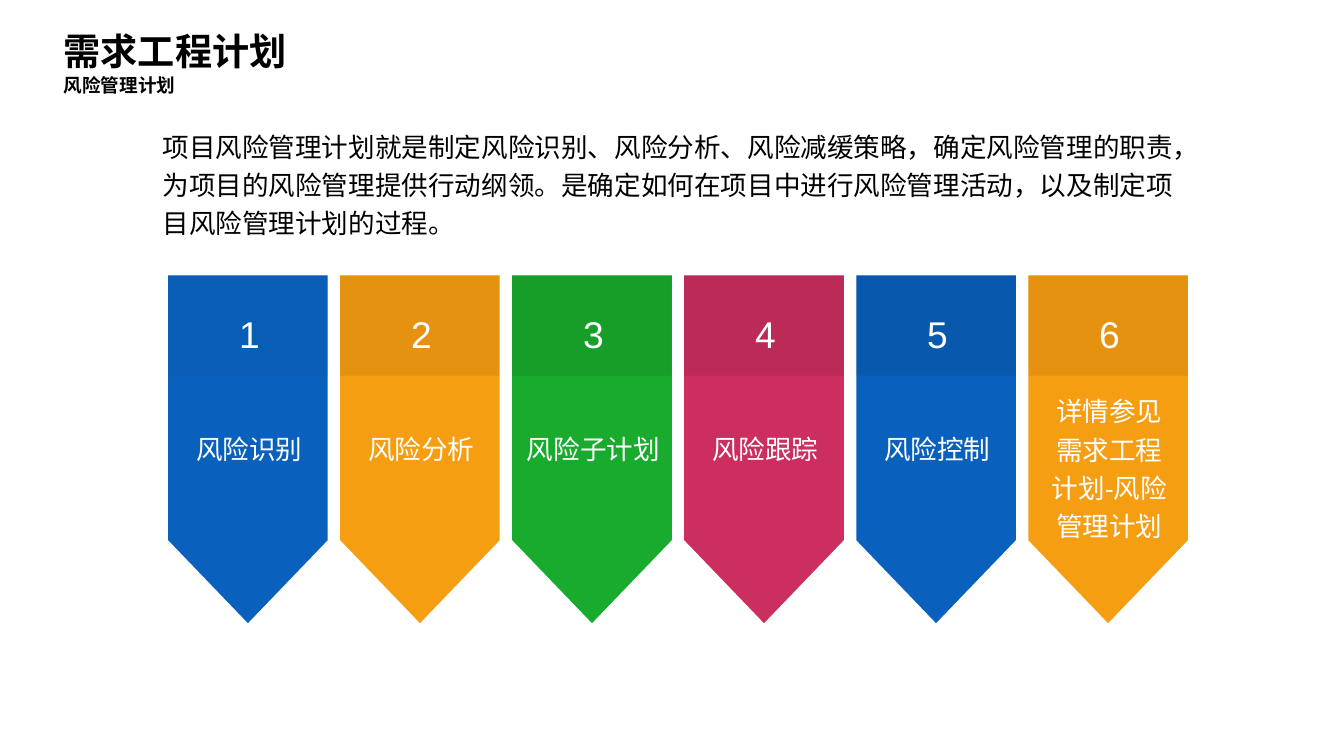
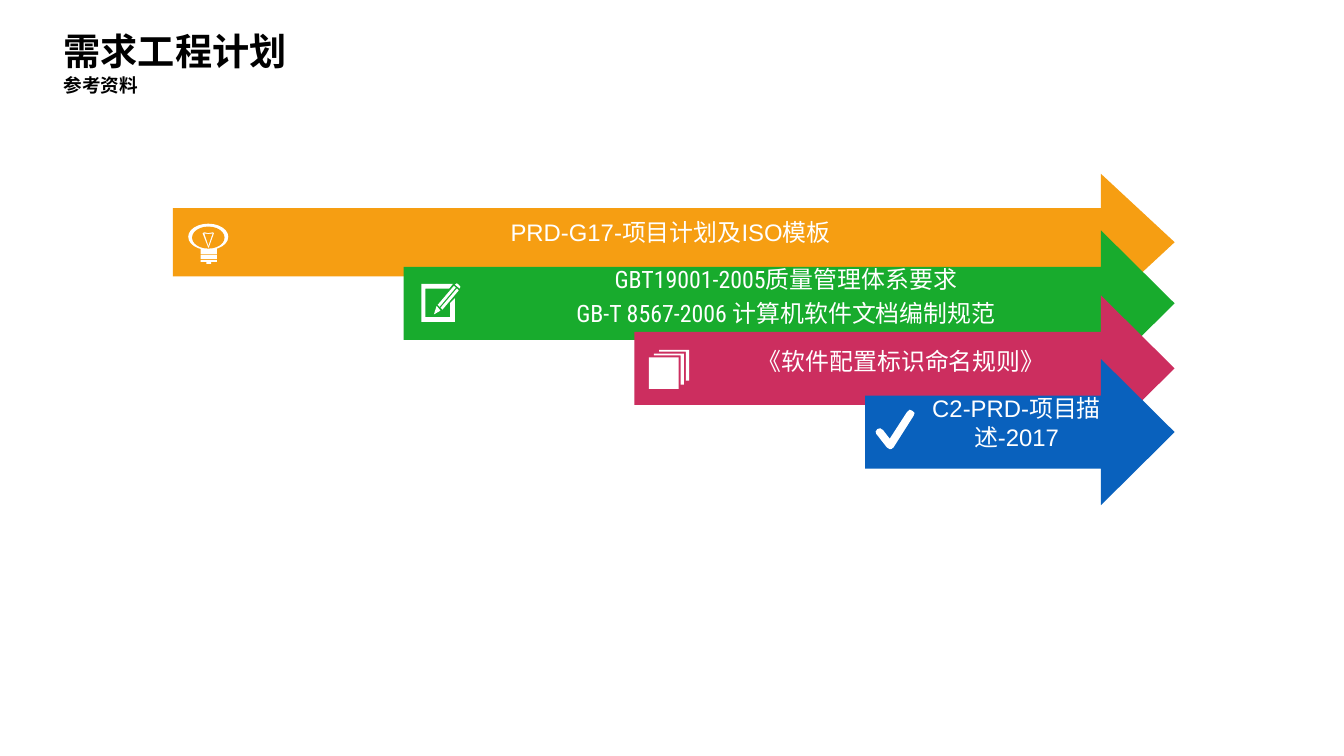
"""Build two slides of a requirements engineering plan: risk management and references."""
from dataclasses import dataclass
from typing import Any

import lxml.etree
import pptx
import pptx.dml.color
import pptx.enum.shapes
import pptx.enum.text
import pptx.oxml.ns
import pptx.presentation
import pptx.shapes.base
import pptx.slide
import pptx.text.text
import pptx.util

Pt = pptx.util.Pt
RGBColor = pptx.dml.color.RGBColor
ShapeType = pptx.enum.shapes.MSO_SHAPE
Align = pptx.enum.text.PP_ALIGN
Anchor = pptx.enum.text.MSO_ANCHOR
Points = list[tuple[float, float]]

BLACK = RGBColor(0x00, 0x00, 0x00)
WHITE = RGBColor(0xFF, 0xFF, 0xFF)
BLUE = RGBColor(0x09, 0x61, 0xBD)
ORANGE = RGBColor(0xF6, 0x9E, 0x12)
GREEN = RGBColor(0x18, 0xAB, 0x2D)
CRIMSON = RGBColor(0xCC, 0x2E, 0x5F)
DARK_BLUE = RGBColor(0x07, 0x49, 0x8E)
DEEP_BLUE = RGBColor(0x04, 0x31, 0x5E)
DARK_ORANGE = RGBColor(0x7F, 0x50, 0x05)
DARK_GREEN = RGBColor(0x0C, 0x56, 0x17)
DARK_CRIMSON = RGBColor(0x66, 0x17, 0x2F)

SLIDE_WIDTH, SLIDE_HEIGHT = 1012.5, 569.5
TITLE = "需求工程计划"
HEAD_FONT = {"size": Pt(28), "name": "Arial", "bold": True}
SUBHEAD_FONT = {"size": Pt(14), "name": "Arial", "bold": True}
BODY_FONT = {"size": Pt(20), "name": "Arial"}
NUMBER_FONT = {"size": Pt(28), "name": "Arial"}
ARROW_FONT = {"size": Pt(18), "name": "Arial"}
NARROW_FONT = {"size": Pt(18), "name": "Roboto Condensed"}
LOOSE = {"line_spacing": 1.2}
CENTERED = {"alignment": Align.CENTER}
LOOSE_CENTERED = LOOSE | CENTERED
FRAME = {"word_wrap": True, "margin_left": 0, "margin_top": 0, "margin_right": 0, "margin_bottom": 0}
MIDDLE_FRAME = FRAME | {"vertical_anchor": Anchor.MIDDLE}
ARROW_FRAME = MIDDLE_FRAME | {
    "margin_left": Pt(42.5), "margin_top": Pt(29.5), "margin_right": Pt(47.5), "margin_bottom": Pt(44.6),
}

COLUMN_LEFT, COLUMN_TOP, COLUMN_PITCH = 126.7, 207.4, 129.6
COLUMN_WIDTH, COLUMN_HEIGHT, BAND_HEIGHT = 120.2, 262, 75.6
ARROW_LEFT, ARROW_PITCH, ARROW_NECK, ARROW_TIP = 130.3, 173.8, 829.4, 884.9


@dataclass(frozen=True)
class Box:
    """Position and size in points."""

    left: float
    top: float
    width: float
    height: float

    def lengths(self) -> tuple[pptx.util.Length, ...]:
        """Return the four lengths for a shape call."""
        return Pt(self.left), Pt(self.top), Pt(self.width), Pt(self.height)


@dataclass(frozen=True)
class RiskStep:
    """One numbered column of the risk plan."""

    label: str
    color: RGBColor
    band_color: RGBColor
    label_width: float = 90.7
    label_top: float = 321.1
    label_height: float = 28.8


@dataclass(frozen=True)
class Preset:
    """A preset shape inside an icon."""

    kind: ShapeType
    box: Box
    color: RGBColor = WHITE


@dataclass(frozen=True)
class Outline:
    """A polygon inside an icon."""

    points: Points
    color: RGBColor = WHITE


@dataclass(frozen=True)
class Icon:
    """Pieces placed relative to an origin in points."""

    left: float
    top: float
    pieces: list[Preset | Outline]


@dataclass(frozen=True)
class Reference:
    """One arrow of the reference list."""

    lines: list[str]
    color: RGBColor
    top: float
    height: float
    font: dict[str, Any]
    paragraph: dict[str, Any]


def page_edge(left: float, top: float) -> Outline:
    """Return the visible edge of a page behind the front page."""
    right, bottom = left + 22.5, top + 23.3
    return Outline([(left, top), (right, top), (right, bottom), (right - 2.4, bottom),
                    (right - 2.4, top + 1.4), (left, top + 1.4)])


STEPS = [
    RiskStep("风险识别", BLUE, DARK_BLUE),
    RiskStep("风险分析", ORANGE, DARK_ORANGE),
    RiskStep("风险子计划", GREEN, DARK_GREEN, label_width=107.3),
    RiskStep("风险跟踪", CRIMSON, DARK_CRIMSON),
    RiskStep("风险控制", BLUE, DEEP_BLUE),
    RiskStep("详情参见需求工程计划-风险管理计划", ORANGE, DARK_ORANGE, label_top=293, label_height=116.6),
]

REFERENCES = [
    Reference(["PRD-G17-项目计划及ISO模板"], ORANGE, 131, 103, ARROW_FONT, CENTERED),
    Reference(["GBT19001-2005质量管理体系要求", "GB-T 8567-2006 计算机软件文档编制规范"],
              GREEN, 173.5, 110, NARROW_FONT, LOOSE_CENTERED),
    Reference(["《软件配置标识命名规则》"], CRIMSON, 222.5, 110, NARROW_FONT, LOOSE_CENTERED),
    Reference(["C2-PRD-项目描述-2017"], BLUE, 270.5, 110, ARROW_FONT, CENTERED),
]

PENCIL_SHAFT: Points = [(24.5, 2.2), (12.2, 16.6), (13.7, 18), (25.9, 3.6)]
BULB = Icon(141.8, 168.5, [
    Preset(ShapeType.OVAL, Box(0, 0, 30.2, 19.8)),
    Preset(ShapeType.RECTANGLE, Box(9.4, 17.3, 12.2, 5.8)),
    Preset(ShapeType.OVAL, Box(2.9, 2.2, 24.5, 16.6), ORANGE),
    Preset(ShapeType.RECTANGLE, Box(9.4, 23.8, 12.2, 2.9)),
    Outline([(9.4, 27.4), (21.6, 27.4), (21.6, 28.8), (17.3, 28.8),
             (17.3, 30.2), (13.7, 30.2), (13.7, 28.8), (9.4, 28.8)]),
    Outline([(10.8, 7.2), (12.2, 6.5), (15.1, 7.2), (18.7, 6.5), (19.4, 7.2), (15.5, 18), (15.1, 18)]),
    Outline([(12.2, 7.4), (15.1, 7.9), (18.3, 7.4), (15.2, 16.6)], ORANGE),
])
PENCIL = Icon(317.5, 213.1, [
    Outline([(14.4, 20.9), (11.5, 17.3), (9.4, 23.8)]),
    Outline(PENCIL_SHAFT),
    Outline([(x + 2.2, y + 2.1) for x, y in PENCIL_SHAFT]),
    Outline([(25.2, 1.4), (26.6, 0.3), (28.1, 1.4), (29.3, 2.9), (28.8, 4.3)]),
    Outline([(21.6, 25.9), (2.9, 25.9), (2.9, 4.3), (20.9, 4.3), (23.8, 0.7),
             (0, 0.7), (0, 29.5), (25.2, 29.5), (25.2, 11.5), (21.6, 15.1)]),
])
PAGES = Icon(488.9, 263.5, [
    page_edge(3.8, 2.9),
    page_edge(7.7, 0),
    Preset(ShapeType.RECTANGLE, Box(0, 5.8, 22.3, 23.7)),
])
CHECK = Icon(659.5, 308.2, [
    Outline([(10.8, 30.2), (8.6, 28.8), (0.7, 18.7), (0.2, 16.9), (1.4, 15.1), (3.6, 14.4), (5.8, 15.8),
             (10.8, 22.3), (23.8, 2.2), (25.9, 0.4), (28.1, 1.4), (29.5, 2.9), (28.8, 5),
             (13.7, 28.8), (12.2, 30)]),
])


def apply_format(target: Any, values: dict[str, Any]) -> None:
    """Set each named attribute on the target."""
    for name, value in values.items():
        setattr(target, name, value)


def paint(shape: pptx.shapes.base.BaseShape, color: RGBColor) -> None:
    """Give a shape a flat fill with no line or shadow."""
    shape.shadow.inherit = False
    shape.fill.solid()
    shape.fill.fore_color.rgb = color
    shape.line.fill.background()


def write_text(text_frame: pptx.text.text.TextFrame, lines: list[str], frame: dict[str, Any],
               font: dict[str, Any], paragraph_format: dict[str, Any], color: RGBColor) -> None:
    """Write one paragraph for each line."""
    apply_format(text_frame, frame)
    for index, line in enumerate(lines):
        paragraph = text_frame.add_paragraph() if index else text_frame.paragraphs[0]
        apply_format(paragraph, paragraph_format)
        run = paragraph.add_run()
        run.text = line
        apply_format(run.font, font)
        run.font.color.rgb = color


def add_text(slide: pptx.slide.Slide, box: Box, text: str, font: dict[str, Any],
             paragraph_format: dict[str, Any], color: RGBColor, frame: dict[str, Any] = FRAME) -> None:
    """Add a text box with one paragraph."""
    text_box = slide.shapes.add_textbox(*box.lengths())
    write_text(text_box.text_frame, [text], frame, font, paragraph_format, color)


def add_preset(shapes: Any, kind: ShapeType, box: Box, color: RGBColor) -> pptx.shapes.base.BaseShape:
    """Add a flat preset shape."""
    shape = shapes.add_shape(kind, *box.lengths())
    paint(shape, color)
    return shape


def add_outline(shapes: Any, points: Points, color: RGBColor) -> pptx.shapes.base.BaseShape:
    """Add a flat closed polygon."""
    corners = [(Pt(x), Pt(y)) for x, y in points]
    builder = shapes.build_freeform(*corners[0])
    builder.add_line_segments(corners[1:], close=True)
    shape = builder.convert_to_shape()
    paint(shape, color)
    return shape


def set_opacity(shape: pptx.shapes.base.BaseShape, percent: int) -> None:
    """Make the solid fill of a shape partly transparent."""
    qualify = pptx.oxml.ns.qn
    color = shape.element.spPr.find(qualify("a:solidFill")).find(qualify("a:srgbClr"))
    lxml.etree.SubElement(color, qualify("a:alpha"), val=str(percent * 1000))


def add_titled_slide(presentation: pptx.presentation.Presentation, subtitle: str) -> pptx.slide.Slide:
    """Add a blank slide with the shared title and its own subtitle."""
    slide = presentation.slides.add_slide(presentation.slide_layouts[6])
    add_text(slide, Box(48, 21, 242.6, 34), TITLE, HEAD_FONT, {}, BLACK, MIDDLE_FRAME)
    add_text(slide, Box(48, 55.5, 253.4, 17), subtitle, SUBHEAD_FONT, {}, BLACK, MIDDLE_FRAME)
    return slide


def add_step(slide: pptx.slide.Slide, index: int, step: RiskStep) -> None:
    """Add a numbered down arrow with its label."""
    left = COLUMN_LEFT + index * COLUMN_PITCH
    arrow = add_preset(slide.shapes, ShapeType.DOWN_ARROW,
                       Box(left, COLUMN_TOP, COLUMN_WIDTH, COLUMN_HEIGHT), step.color)
    arrow.adjustments[0], arrow.adjustments[1] = 1, 0.52
    band = add_preset(slide.shapes, ShapeType.RECTANGLE,
                      Box(left, COLUMN_TOP, COLUMN_WIDTH, BAND_HEIGHT), step.band_color)
    set_opacity(band, 15)
    add_text(slide, Box(left + 13.3, 227.5, 95.8, 40.3), str(index + 1), NUMBER_FONT, LOOSE_CENTERED, WHITE)
    label_left = left + (COLUMN_WIDTH - step.label_width) / 2 + 1
    add_text(slide, Box(label_left, step.label_top, step.label_width, step.label_height),
             step.label, BODY_FONT, LOOSE_CENTERED, WHITE)


def add_reference(slide: pptx.slide.Slide, index: int, reference: Reference) -> None:
    """Add a right arrow whose shaft fills the middle half of its height."""
    left = ARROW_LEFT + index * ARROW_PITCH
    top, upper, middle, lower, bottom = (reference.top + reference.height * step / 4 for step in range(5))
    points = [(left, upper), (ARROW_NECK, upper), (ARROW_NECK, top), (ARROW_TIP, middle),
              (ARROW_NECK, bottom), (ARROW_NECK, lower), (left, lower)]
    arrow = add_outline(slide.shapes, points, reference.color)
    write_text(arrow.text_frame, reference.lines, ARROW_FRAME, reference.font, reference.paragraph, WHITE)


def add_icon(slide: pptx.slide.Slide, icon: Icon) -> None:
    """Add the pieces of an icon as one group."""
    shapes = slide.shapes.add_group_shape().shapes
    for piece in icon.pieces:
        if isinstance(piece, Preset):
            box = Box(icon.left + piece.box.left, icon.top + piece.box.top, piece.box.width, piece.box.height)
            add_preset(shapes, piece.kind, box, piece.color)
        else:
            add_outline(shapes, [(icon.left + x, icon.top + y) for x, y in piece.points], piece.color)


def main() -> None:
    """Build and save the presentation."""
    presentation = pptx.Presentation()
    presentation.slide_width, presentation.slide_height = Pt(SLIDE_WIDTH), Pt(SLIDE_HEIGHT)

    risk_slide = add_titled_slide(presentation, "风险管理计划")
    add_text(risk_slide, Box(122.4, 93.6, 775.4, 87),
             "项目风险管理计划就是制定风险识别、风险分析、风险减缓策略，确定风险管理的职责，"
             "为项目的风险管理提供行动纲领。是确定如何在项目中进行风险管理活动，以及制定项目风险管理计划的过程。",
             BODY_FONT, LOOSE, BLACK)
    for index, step in enumerate(STEPS):
        add_step(risk_slide, index, step)

    reference_slide = add_titled_slide(presentation, "参考资料")
    for index, reference in enumerate(REFERENCES):
        add_reference(reference_slide, index, reference)
    for icon in (BULB, PENCIL, PAGES, CHECK):
        add_icon(reference_slide, icon)

    presentation.save("out.pptx")


if __name__ == "__main__":
    main()
